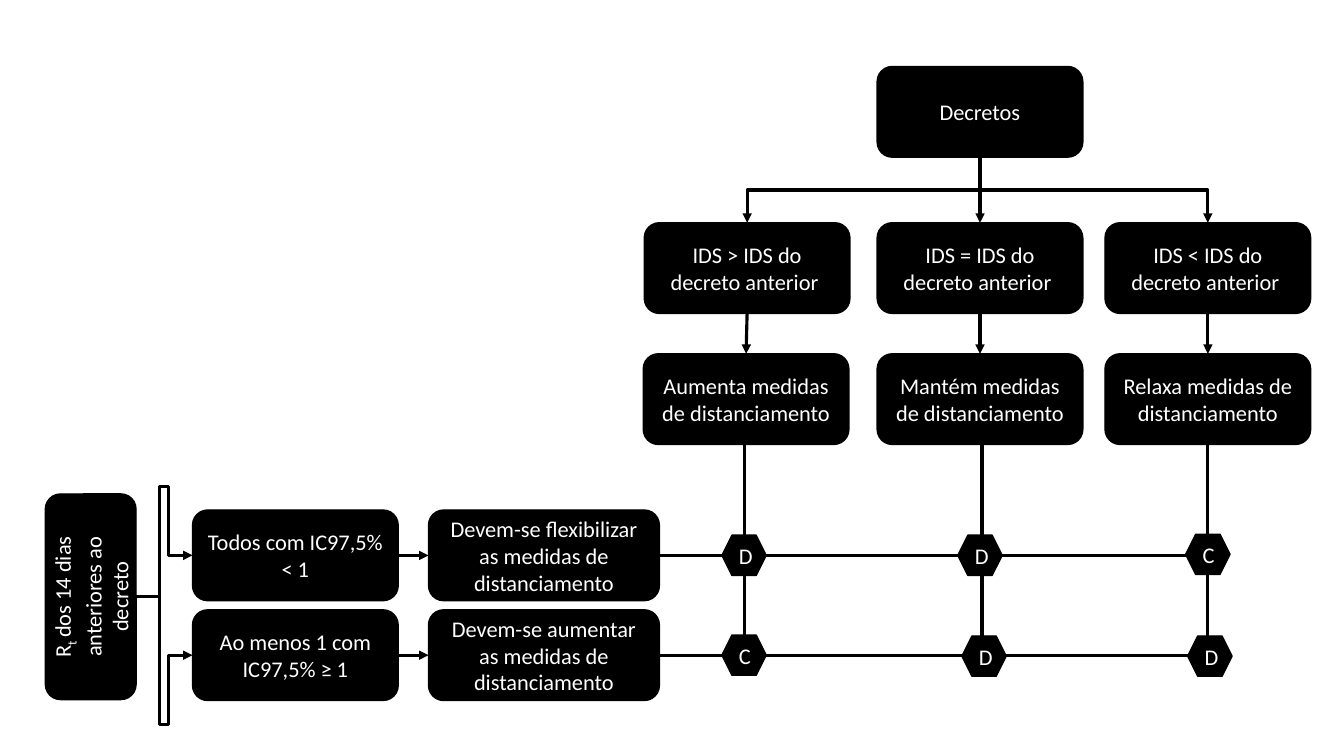
from lxml import etree
from pptx import Presentation
from pptx.dml.color import RGBColor
from pptx.enum.shapes import MSO_CONNECTOR, MSO_SHAPE
from pptx.enum.text import MSO_ANCHOR, PP_ALIGN
from pptx.oxml.ns import qn
from pptx.util import Inches, Pt

COLORS = {"box": "000000", "line": "000000", "text": "FFFFFF"}
BOX_WIDTH, BOX_HEIGHT = 2.04, 0.9
ADVICE_WIDTH = 2.29
HEXAGON_WIDTH, HEXAGON_HEIGHT = 0.44, 0.4
CONDITION_TOP, MEASURE_TOP = 2.21, 3.51
RT_EXIT = (1.35, 5.92)

DECREES = [
    (6.39, 6.38, 7.38, "IDS > IDS do decreto anterior ", "Aumenta medidas de distanciamento"),
    (8.7, 8.7, 9.74, "IDS = IDS do decreto anterior ", "Mantém medidas de distanciamento"),
    (10.96, 10.96, 11.98, "IDS < IDS do decreto anterior ", "Relaxa medidas de distanciamento"),
]
RT_RESULTS = [
    (6.05, 2.183, "Ao menos 1 com IC97,5% ≥ 1", "Devem-se aumentar as medidas de distanciamento"),
    (5.06, 2.667, "Todos com IC97,5% < 1", "Devem-se flexibilizar as medidas de distanciamento"),
]
OUTCOMES = [
    (7.16, 5.31, "D"), (9.5, 5.31, "D"), (11.76, 5.3, "C"),
    (7.16, 6.3, "C"), (9.54, 6.31, "D"), (11.78, 6.31, "D"),
]


def color(name):
    return RGBColor.from_string(COLORS[name])


def add_node(slide, kind, left, top, width, height, texts):
    shape = slide.shapes.add_shape(kind, Inches(left), Inches(top), Inches(width), Inches(height))
    shape.shadow.inherit = False
    shape.fill.solid()
    shape.fill.fore_color.rgb = color("box")
    shape.line.color.rgb = color("line")
    shape.line.width = Pt(1)
    text_frame = shape.text_frame
    text_frame.word_wrap = True
    text_frame.vertical_anchor = MSO_ANCHOR.MIDDLE
    paragraph = text_frame.paragraphs[0]
    paragraph.alignment = PP_ALIGN.CENTER
    for text in texts:
        run = paragraph.add_run()
        run.text = text
        run.font.name = "Calibri"
        run.font.size = Pt(16)
        run.font.color.rgb = color("text")
    return shape


def add_box(slide, left, top, text, width=BOX_WIDTH):
    add_node(slide, MSO_SHAPE.ROUNDED_RECTANGLE, left, top, width, BOX_HEIGHT, [text])


def add_rt_box(slide):
    shape = add_node(slide, MSO_SHAPE.ROUNDED_RECTANGLE, -0.12, 5.47, BOX_WIDTH, BOX_HEIGHT,
                     ["R", "t ", "dos 14 dias anteriores ao decreto"])
    shape.rotation = 270
    subscript = shape.text_frame.paragraphs[0].runs[1]
    subscript.font._element.set("baseline", "-25000")


def add_line(slide, start, end, arrow=False, kind=MSO_CONNECTOR.STRAIGHT):
    connector = slide.shapes.add_connector(kind, *(Inches(value) for value in (*start, *end)))
    connector.line.color.rgb = color("line")
    connector.line.width = Pt(2.25)
    if arrow:
        etree.SubElement(connector.line._get_or_add_ln(), qn("a:tailEnd"), type="triangle")
    etree.SubElement(connector._element.spPr, qn("a:effectLst"))
    return connector


def add_downward_elbow(slide, start, end):
    center_x, center_y = (start[0] + end[0]) / 2, (start[1] + end[1]) / 2
    half_width, half_height = (end[1] - start[1]) / 2, abs(end[0] - start[0]) / 2
    turn = 1 if end[0] < start[0] else -1
    connector = add_line(
        slide,
        (center_x - turn * half_width, center_y - half_height),
        (center_x + turn * half_width, center_y + half_height),
        True, MSO_CONNECTOR.ELBOW)
    connector._element.spPr.find(qn("a:xfrm")).set("rot", str((turn * 90 % 360) * 60000))


def add_looped_elbow(slide, start, end, reach):
    connector = add_line(slide, start, end, True, MSO_CONNECTOR.ELBOW)
    geometry = connector._element.spPr.find(qn("a:prstGeom"))
    geometry.set("prst", "bentConnector5")
    guides = geometry.find(qn("a:avLst"))
    if guides is None:
        guides = etree.SubElement(geometry, qn("a:avLst"))
    for number, ratio in enumerate((0.419, reach, 0.581), start=1):
        etree.SubElement(guides, qn("a:gd"), name=f"adj{number}", fmla=f"val {round(ratio * 100000)}")


def add_rt_results(slide):
    add_rt_box(slide)
    for top, reach, result, advice in RT_RESULTS:
        middle = top + BOX_HEIGHT / 2
        add_looped_elbow(slide, RT_EXIT, (1.91, middle), reach)
        add_box(slide, 1.91, top, result)
        add_line(slide, (3.95, middle), (4.25, middle), arrow=True)
        add_box(slide, 4.25, top, advice, ADVICE_WIDTH)
        add_line(slide, (4.25 + ADVICE_WIDTH, middle), (11.98, middle))


def add_decrees(slide):
    add_box(slide, 8.7, 0.66, "Decretos")
    decree_exit = (8.7 + BOX_WIDTH / 2, 0.66 + BOX_HEIGHT)
    for condition_left, measure_left, track, condition, measure in DECREES:
        condition_center = condition_left + BOX_WIDTH / 2
        measure_center = measure_left + BOX_WIDTH / 2
        entry = (condition_center, CONDITION_TOP)
        if condition_center == decree_exit[0]:
            add_line(slide, decree_exit, entry, arrow=True)
        else:
            add_downward_elbow(slide, decree_exit, entry)
        add_box(slide, condition_left, CONDITION_TOP, condition)
        add_line(slide, (condition_center, CONDITION_TOP + BOX_HEIGHT),
                 (measure_center, MEASURE_TOP), arrow=True)
        add_box(slide, measure_left, MEASURE_TOP, measure)
        add_line(slide, (track, MEASURE_TOP + BOX_HEIGHT), (track, 6.5))


def main():
    presentation = Presentation()
    presentation.slide_width = Inches(13.33)
    presentation.slide_height = Inches(7.5)
    slide = presentation.slides.add_slide(presentation.slide_layouts[6])
    add_rt_results(slide)
    add_decrees(slide)
    for left, top, letter in OUTCOMES:
        add_node(slide, MSO_SHAPE.HEXAGON, left, top, HEXAGON_WIDTH, HEXAGON_HEIGHT, [letter])
    presentation.save("out.pptx")


if __name__ == "__main__":
    main()
